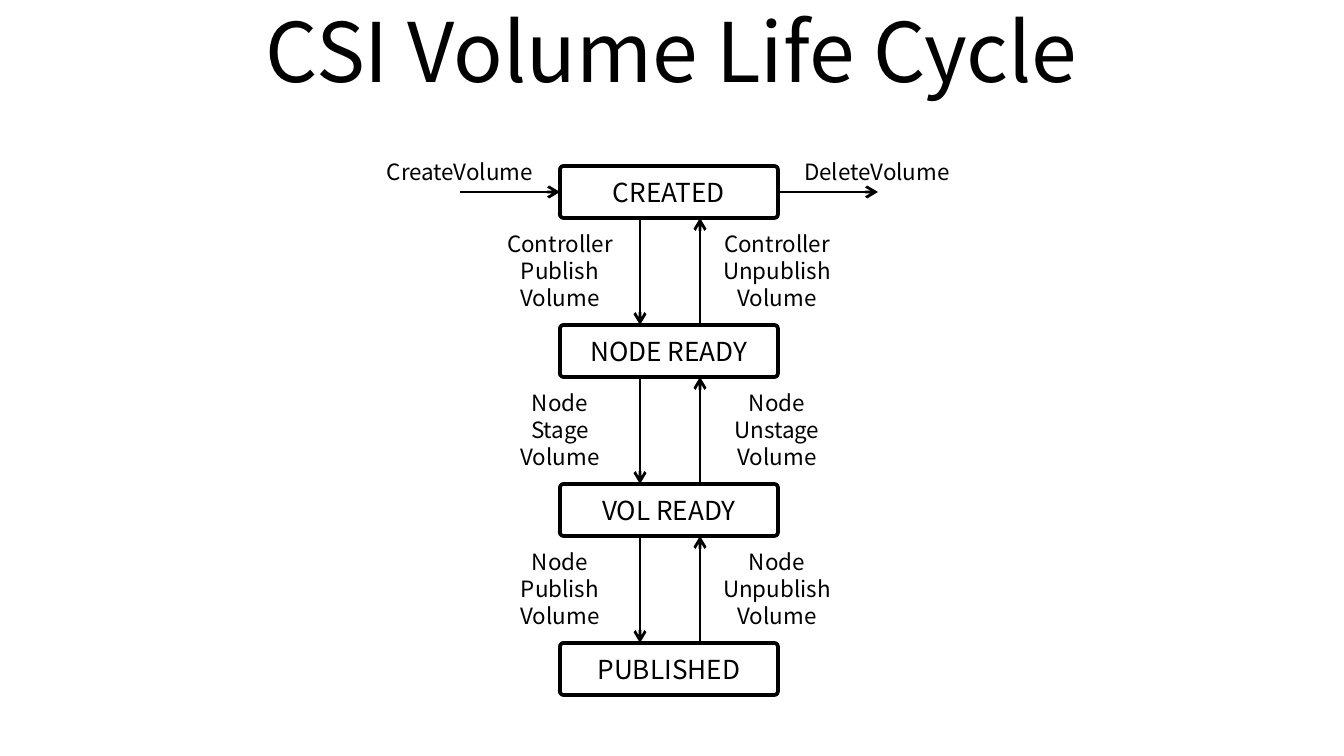
from dataclasses import dataclass

from pptx import Presentation
from pptx.dml.color import RGBColor
from pptx.enum.shapes import MSO_CONNECTOR, MSO_SHAPE
from pptx.enum.text import MSO_ANCHOR, PP_ALIGN
from pptx.oxml.ns import qn
from pptx.util import Emu, Pt
from lxml.etree import SubElement

BLACK = RGBColor(0, 0, 0)
WHITE = RGBColor(255, 255, 255)
FONT = "Noto Sans CJK KR"
SCALE = 914400 / 134.4

STATE_LEFT, STATE_TOP = 560, 166
STATE_WIDTH, STATE_HEIGHT = 218, 52
STATE_PITCH = 159
STATE_RIGHT = STATE_LEFT + STATE_WIDTH
FORWARD_X, BACK_X = 640, 700
CALL_WIDTH = 232
FORWARD_CALL_LEFT, BACK_CALL_LEFT = 444, 661
CALL_OFFSET, CALL_HEIGHT = 58, 95
ENTRY_Y, ENTRY_LENGTH = 192, 100


@dataclass(frozen=True)
class Transition:
    """The calls that lead to the next state and back."""
    forward: str
    back: str


STATES = ("CREATED", "NODE READY", "VOL READY", "PUBLISHED")
TRANSITIONS = (
    Transition("Controller\nPublish\nVolume", "Controller\nUnpublish\nVolume"),
    Transition("Node\nStage\nVolume", "Node\nUnstage\nVolume"),
    Transition("Node\nPublish\nVolume", "Node\nUnpublish\nVolume"),
)


def px(length: int) -> Emu:
    """Turn pixels into EMU."""
    return Emu(round(length * SCALE))


def write(frame, text: str, size: int, anchor: MSO_ANCHOR) -> None:
    """Fill a text frame with centred lines, one paragraph each."""
    frame.word_wrap = True
    frame.vertical_anchor = anchor
    frame.text = text
    font_format = {"size": Pt(size), "name": FONT}
    for paragraph in frame.paragraphs:
        paragraph.alignment = PP_ALIGN.CENTER
        for run in paragraph.runs:
            for key, value in font_format.items():
                setattr(run.font, key, value)
            run.font.color.rgb = BLACK


def add_label(slide, left: int, top: int, width: int, height: int, text: str,
              size: int = 12, anchor: MSO_ANCHOR = MSO_ANCHOR.TOP) -> None:
    """Add text without an outline."""
    label = slide.shapes.add_textbox(px(left), px(top), px(width), px(height))
    write(label.text_frame, text, size, anchor)


def add_state(slide, top: int, text: str) -> None:
    """Add the box of one volume state."""
    state = slide.shapes.add_shape(
        MSO_SHAPE.ROUNDED_RECTANGLE, px(STATE_LEFT), px(top),
        px(STATE_WIDTH), px(STATE_HEIGHT))
    state.adjustments[0] = 0.07
    state.shadow.inherit = False
    state.fill.solid()
    state.fill.fore_color.rgb = WHITE
    state.line.color.rgb = BLACK
    state.line.width = Pt(2)
    write(state.text_frame, text, 14, MSO_ANCHOR.MIDDLE)


def add_arrow(slide, x1: int, y1: int, x2: int, y2: int) -> None:
    """Add an arrow that points at its second end."""
    arrow = slide.shapes.add_connector(
        MSO_CONNECTOR.STRAIGHT, px(x1), px(y1), px(x2), px(y2))
    arrow.line.color.rgb = BLACK
    arrow.line.width = Pt(1.5)
    SubElement(arrow.line._get_or_add_ln(), qn("a:tailEnd"), type="arrow")
    SubElement(arrow._element.spPr, qn("a:effectLst"))


def main() -> None:
    """Build the life cycle slide."""
    deck = Presentation()
    deck.slide_width, deck.slide_height = px(1344), px(756)
    slide = deck.slides.add_slide(deck.slide_layouts[6])

    add_label(slide, 67, -13, 1210, 126, "CSI Volume Life Cycle", 44,
              MSO_ANCHOR.MIDDLE)
    for row, state in enumerate(STATES):
        add_state(slide, STATE_TOP + row * STATE_PITCH, state)

    for row, transition in enumerate(TRANSITIONS):
        top = STATE_TOP + row * STATE_PITCH
        upper, lower = top + STATE_HEIGHT, top + STATE_PITCH
        add_arrow(slide, FORWARD_X, upper, FORWARD_X, lower)
        add_arrow(slide, BACK_X, lower, BACK_X, upper)
        for left, call in ((FORWARD_CALL_LEFT, transition.forward),
                           (BACK_CALL_LEFT, transition.back)):
            add_label(slide, left, top + CALL_OFFSET, CALL_WIDTH, CALL_HEIGHT,
                      call)

    for arrow_left, call_left, call in (
            (STATE_LEFT - ENTRY_LENGTH, 344, "CreateVolume"),
            (STATE_RIGHT, 761, "DeleteVolume")):
        add_arrow(slide, arrow_left, ENTRY_Y, arrow_left + ENTRY_LENGTH, ENTRY_Y)
        add_label(slide, call_left, 152, CALL_WIDTH, 40, call)

    deck.save("out.pptx")


main()
